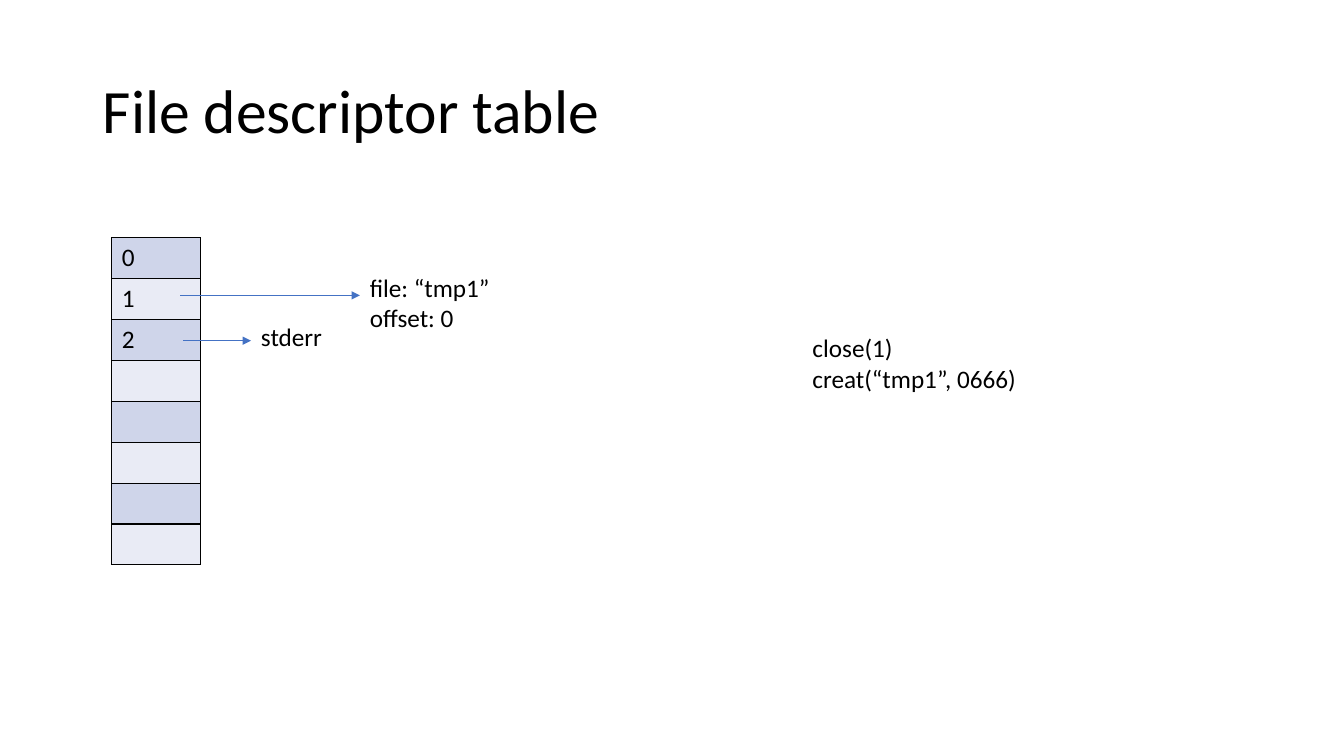
from pptx import Presentation
from pptx.dml.color import RGBColor
from pptx.enum.shapes import MSO_CONNECTOR
from pptx.enum.text import MSO_ANCHOR, MSO_AUTO_SIZE, PP_ALIGN
from pptx.oxml import parse_xml
from pptx.oxml.ns import nsdecls
from pptx.util import Pt

SCALE = 9144  # EMU in one px, 100 px to the inch
BLACK = RGBColor(0x00, 0x00, 0x00)
BLUE = RGBColor(0x44, 0x72, 0xC4)
BANDS = RGBColor(0xCF, 0xD5, 0xEA), RGBColor(0xE9, 0xEB, 0xF5)


def px(*sizes):
    return [size * SCALE for size in sizes]


def style(item, values):
    for name, value in values.items():
        setattr(item, name, value)


class Sketch:
    def __init__(self, slide):
        self.slide = slide
        self.font = {"name": "Calibri", "size": Pt(18)}

    def fill_text(self, frame, lines, **extra):
        frame.text = "\n".join(lines)
        for para in frame.paragraphs:
            for run in para.runs:
                style(run.font, self.font | extra)
                run.font.color.rgb = BLACK

    def title(self, text, box):
        shape = self.slide.shapes.title
        style(shape, dict(zip(("left", "top", "width", "height"), px(*box))))
        frame = shape.text_frame
        frame.vertical_anchor = MSO_ANCHOR.MIDDLE
        self.fill_text(frame, [text], size=Pt(44))
        style(frame.paragraphs[0], {"alignment": PP_ALIGN.LEFT, "line_spacing": 0.9})

    def label(self, lines, box):
        frame = self.slide.shapes.add_textbox(*px(*box)).text_frame
        style(frame, {"word_wrap": True, "auto_size": MSO_AUTO_SIZE.SHAPE_TO_FIT_TEXT})
        self.fill_text(frame, lines)

    def arrow(self, left, right, y):
        line = self.slide.shapes.add_connector(
            MSO_CONNECTOR.STRAIGHT, *px(left, y, right, y))
        line.line.color.rgb = BLUE
        line.line.width = Pt(0.5)
        props = line._element.spPr
        props.ln.append(parse_xml(f'<a:tailEnd {nsdecls("a")} type="triangle"/>'))
        props.append(parse_xml(f'<a:effectLst {nsdecls("a")}/>'))

    def border(self, cell):
        props = cell._tc.get_or_add_tcPr()
        for side in "LRTB":
            props.append(parse_xml(
                f'<a:ln{side} {nsdecls("a")} w="{Pt(1)}"><a:solidFill>'
                f'<a:srgbClr val="{BLACK}"/></a:solidFill></a:ln{side}>'))

    def table(self, slots, left, top, width, step):
        box = px(left, top, width, step * len(slots))
        grid = self.slide.shapes.add_table(len(slots), 1, *box).table
        style(grid, {"first_row": False, "horz_banding": False})
        for row, text in enumerate(slots):
            cell = grid.cell(row, 0)
            self.fill_text(cell.text_frame, [text])
            self.border(cell)
            cell.fill.solid()
            cell.fill.fore_color.rgb = BANDS[row % 2]


def main():
    deck = Presentation()
    deck.slide_width, deck.slide_height = px(1333, 750)
    sketch = Sketch(deck.slides.add_slide(deck.slide_layouts[5]))
    sketch.title("File descriptor table", (92, 40, 1150, 145))
    sketch.table(["0", "1", "2"] + [""] * 5, 111, 236, 88, 40)
    sketch.arrow(179, 357, 293)
    sketch.label(["file: “tmp1”", "offset: 0"], (357, 265, 189, 71))
    sketch.arrow(182, 249, 338)
    sketch.label(["stderr"], (249, 314, 168, 40))
    sketch.label(["close(1)", "creat(“tmp1”, 0666)"], (796, 325, 249, 71))
    deck.save("out.pptx")


if __name__ == "__main__":
    main()
